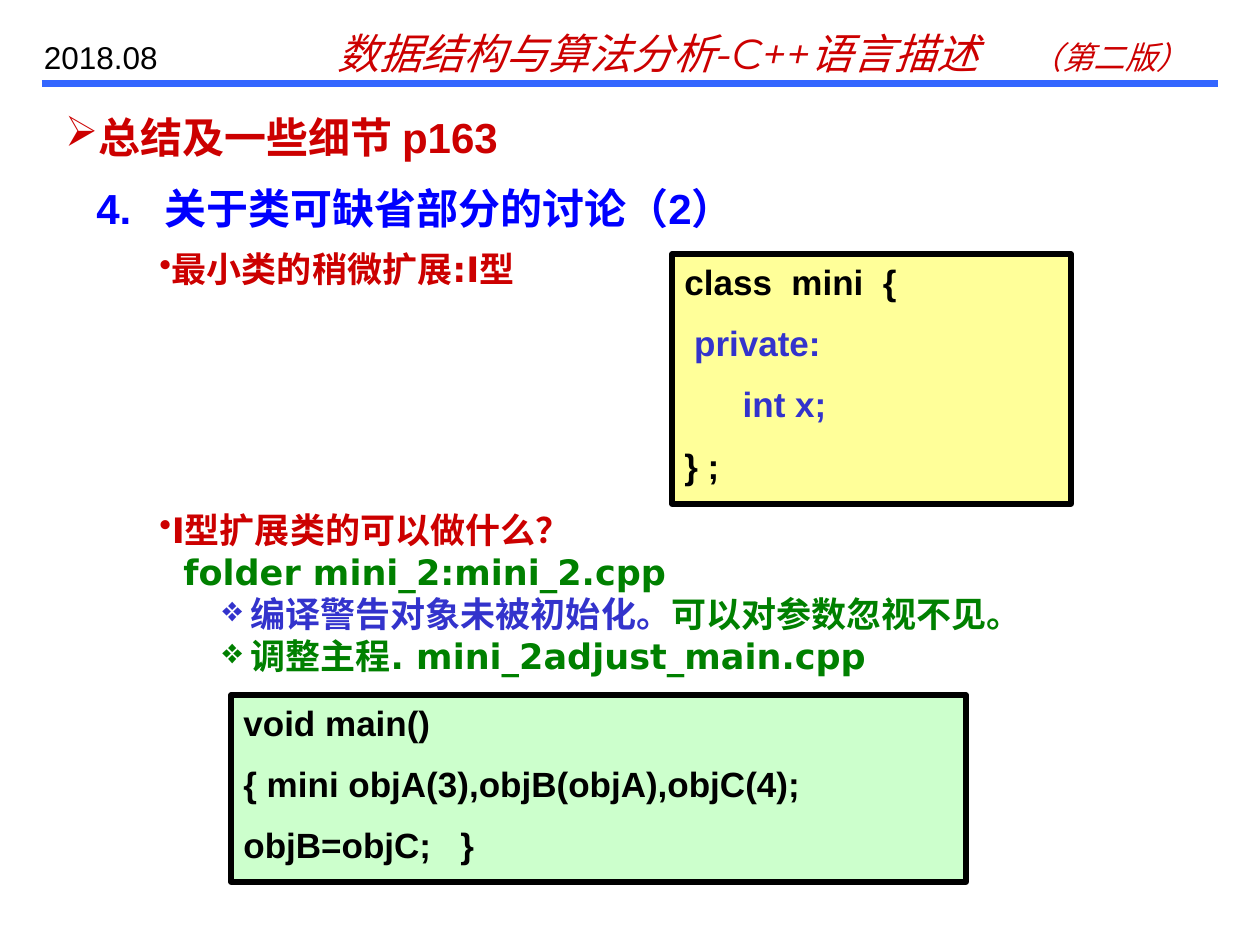
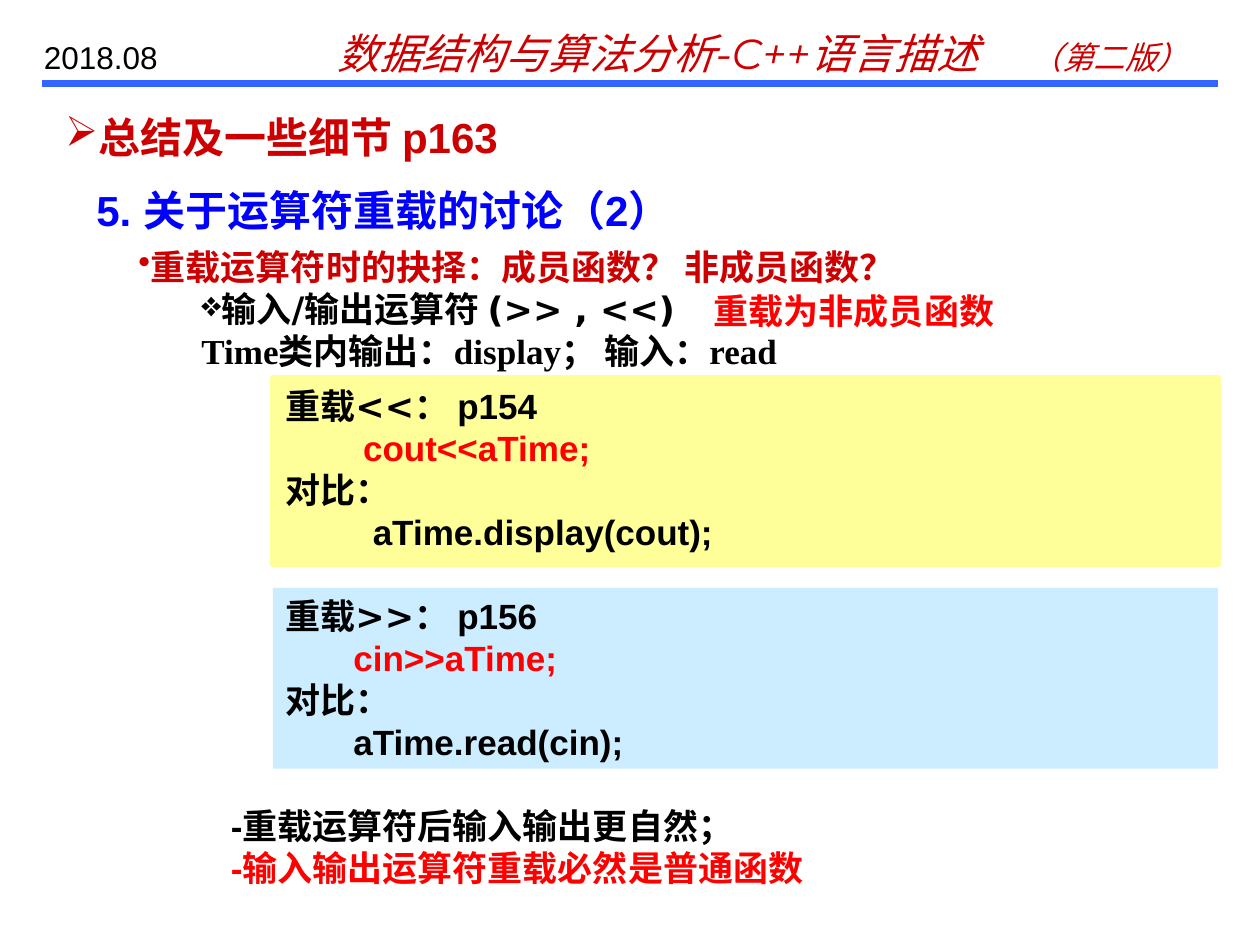
from lxml.etree import SubElement
from pptx import Presentation
from pptx.dml.color import RGBColor
from pptx.enum.shapes import MSO_CONNECTOR as Connector, MSO_SHAPE as Shape
from pptx.enum.text import MSO_ANCHOR as Anchor, PP_ALIGN as Align
from pptx.oxml.ns import qn
from pptx.util import Inches, Pt

BLACK = RGBColor(0x00, 0x00, 0x00)
CRIMSON = RGBColor(0xCC, 0x00, 0x00)
RED = RGBColor(0xFF, 0x00, 0x00)
BLUE = RGBColor(0x00, 0x00, 0xFF)
INDIGO = RGBColor(0x33, 0x33, 0xCC)
GREEN = RGBColor(0x00, 0x80, 0x00)
RULE_BLUE = RGBColor(0x33, 0x66, 0xFF)
YELLOW = RGBColor(0xFF, 0xFF, 0x99)
MINT = RGBColor(0xCC, 0xFF, 0xCC)
SKY = RGBColor(0xCC, 0xEC, 0xFF)

SANS, WIDE, SERIF, HEADER = "Arial", "DejaVu Sans", "Times New Roman", "Montserrat"
CODE_GAP = 11


def cells(*counts):
    """Turn counts of grid cells, twelve to the inch, into lengths."""
    return [Inches(count / 12) for count in counts]


def write(shape, lines, font=SANS, size=20, bold=True, italic=False, gap=0, anchor=Anchor.TOP):
    """Fill a shape with lines, each a dict of paragraph settings and its runs.

    A run is (text, colour), optionally followed by its own font and size.
    """
    frame = shape.text_frame
    frame.word_wrap = True
    frame.vertical_anchor = anchor
    for index, (settings, *runs) in enumerate(lines):
        para = frame.add_paragraph() if index else frame.paragraphs[0]
        properties = para._p.get_or_add_pPr()
        properties.set("marL", str(Inches(settings.get("margin", 0))))
        properties.set("indent", str(Inches(settings.get("hang", 0))))
        if "bullet" in settings:
            SubElement(properties, qn("a:buChar"), char=settings["bullet"])
        if "tab" in settings:
            tabs = SubElement(properties, qn("a:tabLst"))
            SubElement(tabs, qn("a:tab"), pos=str(Inches(settings["tab"])), algn="l")
        para.alignment = Align.LEFT
        para.space_before = Pt(gap if index else 0)
        for text, colour, *own in runs:
            span = para.add_run()
            span.text = text
            span.font.name = own[0] if own else font
            span.font.size = Pt(own[1] if len(own) > 1 else size)
            span.font.bold = bold
            span.font.italic = italic
            span.font.color.rgb = colour


PLAIN = {}
DOT = {"bullet": "•"}
DIAMOND = {"bullet": "❖", "margin": 0.5}
NESTED = {"margin": 0.5}

# Each text: place on the grid, font, lines
# Each panel: place on the grid, fill, line colour, paragraph gap, lines
pages = [
    {
        "texts": [
            ((8, 16.8, 110, 6), SANS, [
                ({"margin": 0.54, "hang": -0.54, "tab": 0.54},
                 ("4.\t关于类可缺省部分的讨论（2）", BLUE, SANS, 24))]),
            ((14, 23, 116, 5.2), WIDE, [(DOT, ("最小类的稍微扩展:I型", CRIMSON))]),
            ((14, 47.8, 116, 17.2), WIDE, [
                (DOT, ("I型扩展类的可以做什么？", CRIMSON)),
                ({"margin": 0.19}, ("folder mini_2:mini_2.cpp", GREEN)),
                (DIAMOND, (" 编译警告对象未被初始化。", INDIGO), ("可以对参数忽视不见。", GREEN)),
                (DIAMOND, (" 调整主程. mini_2adjust_main.cpp", GREEN))]),
        ],
        "panels": [
            ((64, 24.2, 38, 23.8), YELLOW, BLACK, CODE_GAP, [
                (PLAIN, ("class  mini  {", BLACK)),
                (PLAIN, (" private:", INDIGO)),
                (PLAIN, ("      int x;", INDIGO)),
                (PLAIN, ("} ;", BLACK))]),
            ((22, 66.2, 70, 17.8), MINT, BLACK, CODE_GAP, [
                (PLAIN, ("void main()", BLACK)),
                (PLAIN, ("{ mini objA(3),objB(objA),objC(4);", BLACK)),
                (PLAIN, ("objB=objC;   }", BLACK))]),
        ],
    },
    {
        "texts": [
            ((8, 17, 110, 6), SANS, [
                ({"margin": 0.38, "hang": -0.38},
                 ("5. 关于运算符重载的讨论（2）", BLUE, SANS, 24))]),
            ((12, 22.8, 103, 13.2), WIDE, [
                (DOT, ("重载运算符时的抉择：成员函数？ 非成员函数？", CRIMSON)),
                (DIAMOND, ("输入/输出运算符 (>> , <<)", BLACK)),
                (NESTED, ("Time类内输出：display； 输入：read", BLACK, SERIF))]),
            ((14.8, 76, 101, 9.2), SANS, [
                (NESTED, ("-重载运算符后输入输出更自然；", BLACK)),
                (NESTED, ("-输入输出运算符重载必然是普通函数", RED))]),
            ((66.8, 27, 30, 5.2), SANS, [(PLAIN, ("重载为非成员函数", RED))]),
        ],
        "panels": [
            ((26, 36, 90, 17.8), YELLOW, YELLOW, 0, [
                (PLAIN, ("重载<<： ", BLACK, WIDE), ("p154", BLACK)),
                (PLAIN, ("        cout<<aTime;", RED)),
                (PLAIN, ("对比：", BLACK)),
                (PLAIN, ("         aTime.display(cout);", BLACK))]),
            ((26, 56, 90, 17.2), SKY, None, 0, [
                (PLAIN, ("重载>>： ", BLACK, WIDE), ("p156", BLACK)),
                (PLAIN, ("       cin>>aTime;", RED)),
                (PLAIN, ("对比：", BLACK)),
                (PLAIN, ("       aTime.read(cin);", BLACK))]),
        ],
    },
]

deck = Presentation()
deck.slide_width, deck.slide_height = Inches(10), Inches(7.5)
title_only = deck.slide_layouts[5]

for content in pages:
    page = deck.slides.add_slide(title_only)

    rule = page.shapes.add_connector(Connector.STRAIGHT, *cells(4, 8, 116, 8))
    rule.line.color.rgb = RULE_BLUE
    rule.line.width = Pt(4)
    SubElement(rule._element.spPr, qn("a:effectLst"))

    course = page.shapes.add_textbox(*cells(31, 2, 84, 6))
    write(course, [({"tab": 5.45}, ("数据结构与算法分析-C++语言描述\t", CRIMSON),
                    ("（第二版）", CRIMSON, HEADER, 18))],
          font=HEADER, size=24, bold=False, italic=True)
    date = page.shapes.add_textbox(*cells(3, 3, 17, 4.8))
    write(date, [(PLAIN, ("2018.08", BLACK))], size=18, bold=False)

    title = page.shapes.title
    title.left, title.top, title.width, title.height = cells(5, 10, 112, 6)
    write(title, [({"bullet": "➢"}, ("总结及一些细节 p163", CRIMSON))],
          size=24, anchor=Anchor.MIDDLE)

    for place, font, lines in content["texts"]:
        box = page.shapes.add_textbox(*cells(*place))
        write(box, lines, font=font)

    for place, fill, outline, gap, lines in content["panels"]:
        panel = page.shapes.add_shape(Shape.RECTANGLE, *cells(*place))
        panel.shadow.inherit = False
        panel.fill.solid()
        panel.fill.fore_color.rgb = fill
        if outline is None:
            panel.line.fill.background()
        else:
            panel.line.color.rgb = outline
            panel.line.width = Pt(3)
        write(panel, lines, gap=gap)

deck.save("out.pptx")
